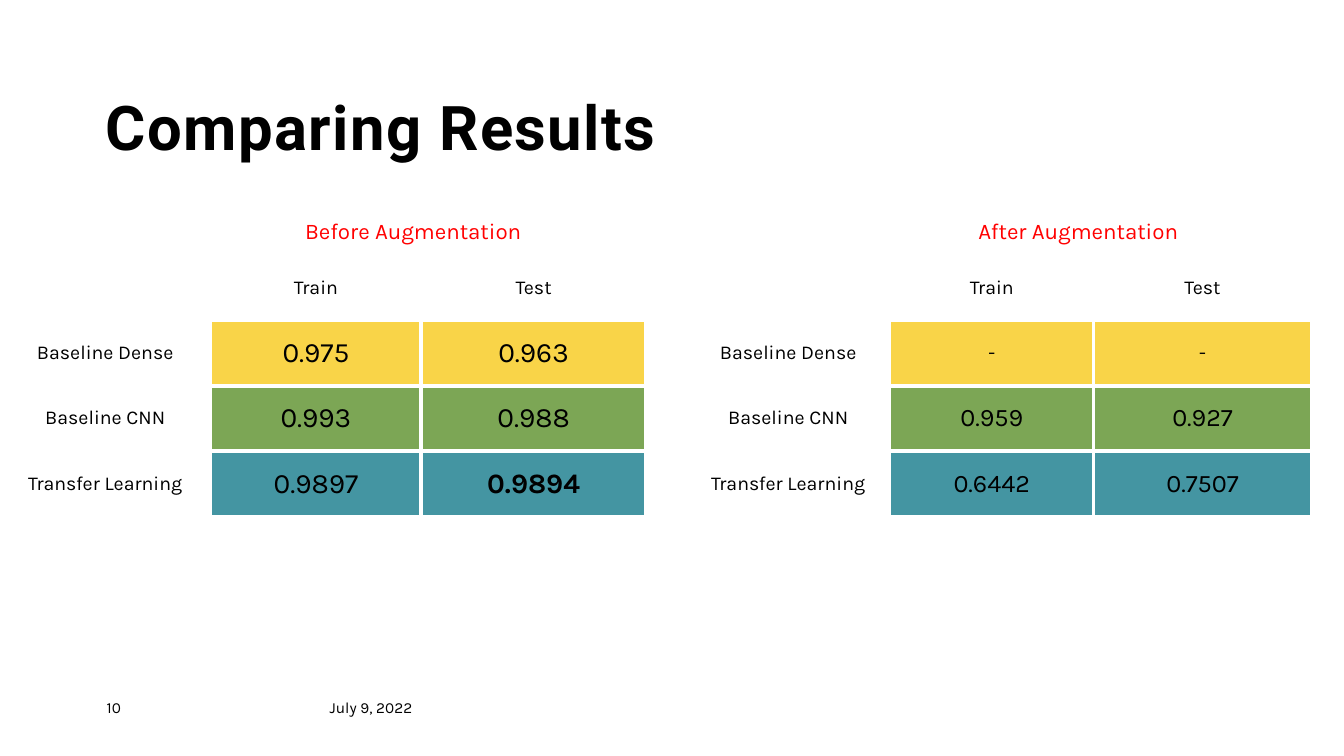
from dataclasses import dataclass

from lxml.etree import SubElement
from pptx import Presentation
from pptx.dml.color import RGBColor
from pptx.enum.text import MSO_ANCHOR, PP_ALIGN
from pptx.oxml.ns import qn
from pptx.slide import Slide
from pptx.table import _Cell
from pptx.text.text import _Paragraph
from pptx.util import Cm, Pt

COLORS = {
    "text": "000000",
    "caption": "FF0000",
    "border": "FFFFFF",
    "dense": "F9D448",
    "cnn": "7CA655",
    "transfer": "4495A2",
}
HEADERS = ("", "Train", "Test")
MODELS = (("Baseline Dense", "dense"), ("Baseline CNN", "cnn"), ("Transfer Learning", "transfer"))
TABLE_TOP, TABLE_HEIGHT = 6.43, 6.58
BEST_SCORE = "0.9894"


@dataclass(frozen=True)
class Label:
    text: str
    left: float
    top: float
    width: float
    height: float
    size: float
    font: str = "Karla"
    color: str = "text"
    bold: bool = False
    align: PP_ALIGN = PP_ALIGN.LEFT
    anchor: MSO_ANCHOR = MSO_ANCHOR.TOP
    inset: float = 0
    line_spacing: float = 1.0
    space_before: float = 0
    tracking: int = 0


@dataclass(frozen=True)
class ResultTable:
    caption: str
    caption_left: float
    left: float
    column_widths: tuple[float, ...]
    scores: tuple[tuple[str, str], ...]
    score_size: float


LABELS = (
    Label("Comparing Results", 2.67, 2.44, 21, 1.7, 44, font="Roboto", bold=True,
          anchor=MSO_ANCHOR.BOTTOM, line_spacing=0.9, tracking=100),
    Label("10", 2.69, 17.58, 1.45, 0.69, 11),
    Label("July 9, 2022", 8.31, 17.58, 3.66, 0.69, 11),
)
RESULTS = (
    ResultTable("Before Augmentation", 4.55, 0, (5.31, 5.31, 5.66),
                (("0.975", "0.963"), ("0.993", "0.988"), ("0.9897", BEST_SCORE)), 20),
    ResultTable("After Augmentation", 21.31, 17.3, (5.13, 5.13, 5.49),
                (("-", "-"), ("0.959", "0.927"), ("0.6442", "0.7507")), 18),
)


def rgb(name: str) -> RGBColor:
    return RGBColor.from_string(COLORS[name])


def style_paragraph(paragraph: _Paragraph, font: str, size: float, color: str,
                    bold: bool, align: PP_ALIGN) -> None:
    paragraph.alignment = align
    paragraph.font.name = font
    paragraph.font.size = Pt(size)
    paragraph.font.color.rgb = rgb(color)
    paragraph.font.bold = bold


def add_label(slide: Slide, label: Label) -> None:
    shape = slide.shapes.add_textbox(
        Cm(label.left), Cm(label.top), Cm(label.width), Cm(label.height))
    frame = shape.text_frame
    frame.word_wrap = True
    frame.vertical_anchor = label.anchor
    frame.margin_left = frame.margin_right = Cm(label.inset * 2)
    frame.margin_top = frame.margin_bottom = Cm(label.inset)
    paragraph = frame.paragraphs[0]
    run = paragraph.add_run()
    run.text = label.text
    style_paragraph(paragraph, label.font, label.size, label.color, label.bold, label.align)
    paragraph.line_spacing = label.line_spacing
    paragraph.space_before = Pt(label.space_before)
    if label.tracking:
        run.font._element.set("spc", str(label.tracking))


def border_widths(row: int, column: int) -> dict[str, float]:
    if row == 0:
        return {"L": 1, "R": 1, "T": 1, "B": 2.25}
    if column == 0:
        return dict.fromkeys("LRTB", 2.25)
    return {
        "L": 2.25 if column == 1 else 3,
        "R": 3,
        "T": 2.25 if row == 1 else 3,
        "B": 2.25 if row == len(MODELS) else 3,
    }


def set_borders(cell: _Cell, widths: dict[str, float]) -> None:
    properties = cell._tc.get_or_add_tcPr()
    for side, width in widths.items():
        line = SubElement(properties, qn(f"a:ln{side}"), w=str(Pt(width)))
        fill = SubElement(line, qn("a:solidFill"))
        SubElement(fill, qn("a:srgbClr"), val=COLORS["border"])


def add_result_table(slide: Slide, result: ResultTable) -> None:
    table = slide.shapes.add_table(
        len(MODELS) + 1, len(HEADERS), Cm(result.left), Cm(TABLE_TOP),
        Cm(sum(result.column_widths)), Cm(TABLE_HEIGHT)).table
    table.first_row = table.horz_banding = False
    for column, width in zip(table.columns, result.column_widths):
        column.width = Cm(width)
    rows = [HEADERS] + [(name, *scores) for (name, _), scores in zip(MODELS, result.scores)]
    for row, texts in enumerate(rows):
        for column, text in enumerate(texts):
            cell = table.cell(row, column)
            is_score = row > 0 and column > 0
            cell.text = text
            cell.vertical_anchor = MSO_ANCHOR.MIDDLE
            size = result.score_size if is_score and text != "-" else 14
            style_paragraph(cell.text_frame.paragraphs[0], "Karla", size, "text",
                            text == BEST_SCORE, PP_ALIGN.CENTER)
            set_borders(cell, border_widths(row, column))
            if is_score:
                cell.fill.solid()
                cell.fill.fore_color.rgb = rgb(MODELS[row - 1][1])
            else:
                cell.fill.background()
    add_label(slide, Label(result.caption, result.caption_left, 5.41, 11.73, 0.69, 16,
                           color="caption", align=PP_ALIGN.CENTER, inset=0.13,
                           line_spacing=0.9, space_before=10))


def main() -> None:
    presentation = Presentation()
    presentation.slide_width = Cm(33.87)
    presentation.slide_height = Cm(19.05)
    slide = presentation.slides.add_slide(presentation.slide_layouts[6])
    for label in LABELS:
        add_label(slide, label)
    for result in RESULTS:
        add_result_table(slide, result)
    presentation.save("out.pptx")


if __name__ == "__main__":
    main()
